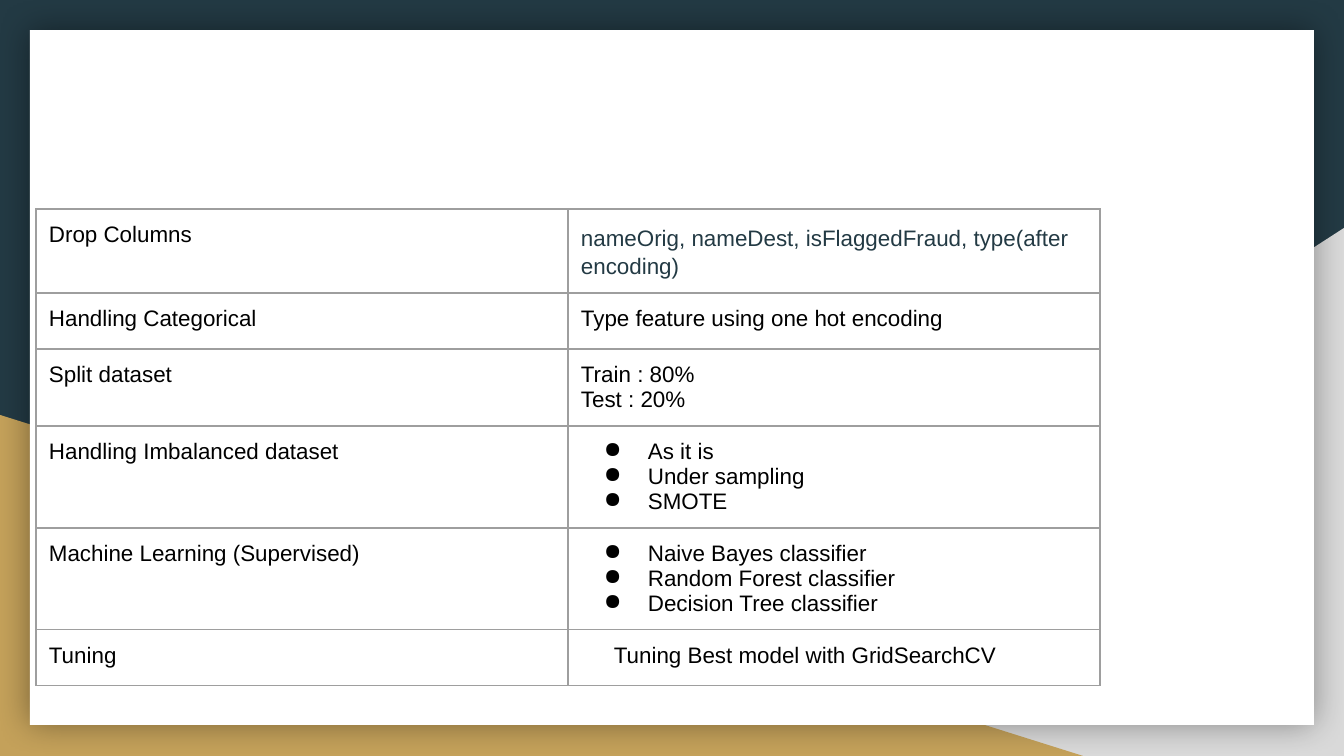
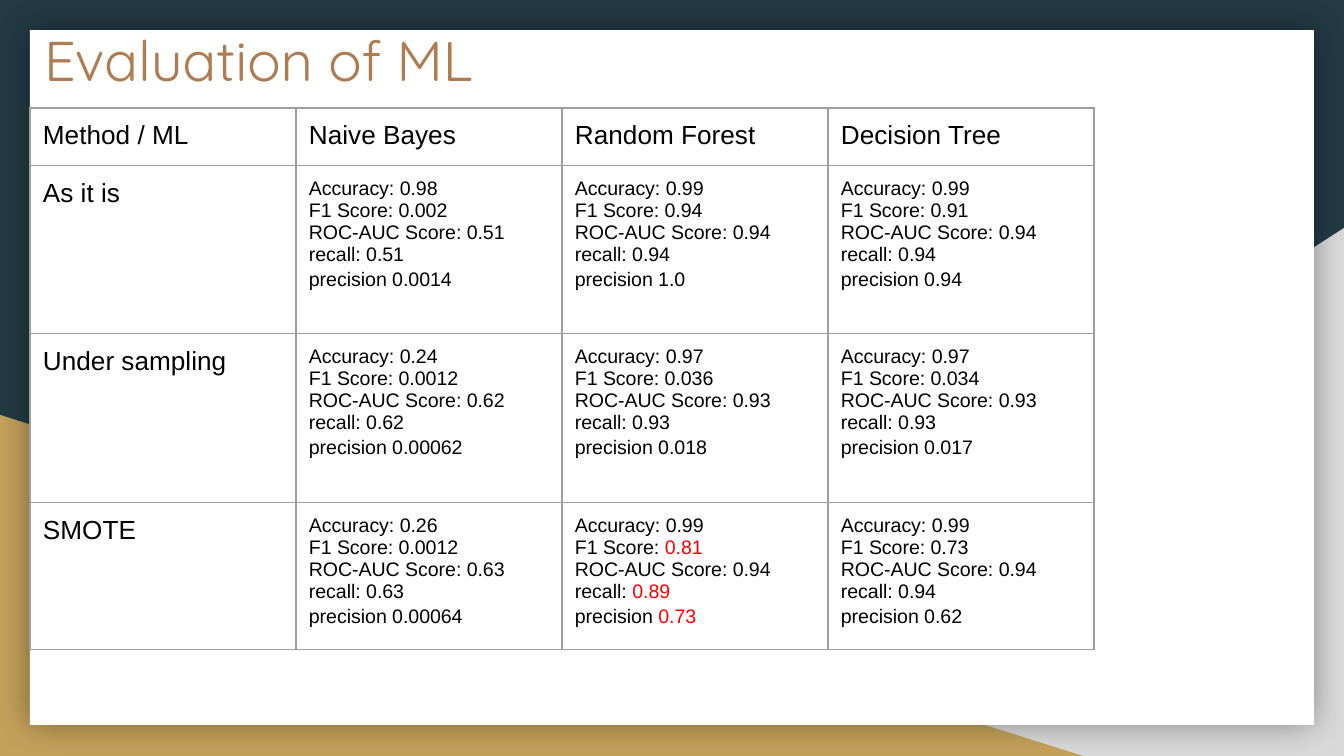
from lxml.etree import SubElement
from pptx import Presentation
from pptx.dml.color import RGBColor
from pptx.enum.shapes import MSO_SHAPE as Preset
from pptx.oxml.ns import qn
from pptx.util import Emu, Pt

NAVY, GREY, GOLD, BROWN = "233A44", "D9D9D9", "C4A15A", "AF7B51"
WHITE, BLACK, RED, RULE = "FFFFFF", "000000", "FF0000", "9E9E9E"
color = RGBColor.from_string


def px(count):
    return Emu(round(count * 914400 / 134.4))


def add_grid(page, left, top, column_width, heights, rows):
    columns = len(rows[0])
    frame = page.shapes.add_table(len(rows), columns, px(left), px(top),
                                  px(column_width * columns), px(sum(heights)))
    table = frame.table
    table.first_row = table.horz_banding = False
    for column in table.columns:
        column.width = px(column_width)
    for row, height, entries in zip(table.rows, heights, rows):
        row.height = px(height)
        for cell, (size, lines) in zip(row.cells, entries):
            cell.margin_left = cell.margin_right = px(13)
            cell.margin_top = cell.margin_bottom = px(13)
            for side in ("a:lnL", "a:lnR", "a:lnT", "a:lnB"):
                border = SubElement(cell._tc.get_or_add_tcPr(), qn(side), w=str(Pt(0.75)))
                SubElement(SubElement(border, qn("a:solidFill")), qn("a:srgbClr"), val=RULE)
            cell.fill.background()
            cell.text_frame.text = "\n".join(lines)
            for para in cell.text_frame.paragraphs:
                para.font.size = Pt(size)
                para.font.name = "Arial"
                para.font.color.rgb = color(BLACK)
    return table


deck = Presentation()
deck.slide_width, deck.slide_height = px(1344), px(756)
backdrop = [
    (Preset.RIGHT_TRIANGLE, GREY, (527, 228, 817, 528)),
    (Preset.RIGHT_TRIANGLE, GOLD, (0, 415, 1083, 341)),
    (Preset.RECTANGLE, WHITE, (30, 30, 1284, 695)),
]
pages = [deck.slides.add_slide(deck.slide_layouts[6]) for _ in range(2)]
for page in pages:
    page.background.fill.solid()
    page.background.fill.fore_color.rgb = color(NAVY)
    for preset, fill, place in backdrop:
        shape = page.shapes.add_shape(preset, *map(px, place))
        shape.shadow.inherit = False
        shape.fill.solid()
        shape.fill.fore_color.rgb = color(fill)
        shape.line.fill.background()
        properties = shape._element.spPr
        if fill == GREY:
            properties.find(qn("a:xfrm")).set("flipH", "1")
        if fill == WHITE:
            shadow = SubElement(properties.find(qn("a:effectLst")), qn("a:outerShdw"),
                                blurRad=str(Pt(18)), dist="0", algn="ctr", rotWithShape="0")
            tint = SubElement(shadow, qn("a:srgbClr"), val=BLACK)
            SubElement(tint, qn("a:alpha"), val="40000")

steps_page, scores_page = pages

steps = [
    ("Drop Columns", ["nameOrig, nameDest, isFlaggedFraud, type(after encoding)"]),
    ("Handling Categorical", ["Type feature using one hot encoding"]),
    ("Split dataset", ["Train : 80%", "Test : 20%"]),
    ("Handling Imbalanced dataset", ["As it is", "Under sampling", "SMOTE"]),
    ("Machine Learning (Supervised)",
     ["Naive Bayes classifier", "Random Forest classifier", "Decision Tree classifier"]),
    ("Tuning", ["Tuning Best model with GridSearchCV"]),
]
rows = [[(12, [step]), (12, details)] for step, details in steps]
table = add_grid(steps_page, 36, 209, 532, [84, 56, 77, 102, 102, 56], rows)

dropped = table.cell(0, 1).text_frame.paragraphs[0]
dropped.line_spacing = 1.15
dropped.space_after = Pt(12)
dropped.font.color.rgb = color(NAVY)

for row, hanging in ((3, 44), (4, 44), (5, 34)):
    for para in table.cell(row, 1).text_frame.paragraphs:
        layout = para._p.get_or_add_pPr()
        layout.set("marL", str(px(67)))
        layout.set("indent", str(-px(hanging)))
        if row < 5:
            bullet_color = layout.makeelement(qn("a:buClr"))
            SubElement(bullet_color, qn("a:srgbClr"), val=BLACK)
            bullet = layout.makeelement(qn("a:buChar"), char="●")
            layout.insert(0, bullet_color)
            layout.insert(1, bullet)

box = scores_page.shapes.add_textbox(px(31), px(13), px(1103), px(140))
frame = box.text_frame
frame.word_wrap = True
frame.margin_left = frame.margin_right = frame.margin_top = frame.margin_bottom = px(13)
title = frame.paragraphs[0]
title.text = "Evaluation of ML"
title.font.size = Pt(30)
title.font.name = "Quicksand"
title.font.color.rgb = color(BROWN)

metrics = ["Accuracy: ", "F1 Score: ", "ROC-AUC Score: ", "recall: ", "precision "]
scores = {
    "As it is": ["0.98 0.002 0.51 0.51 0.0014", "0.99 0.94 0.94 0.94 1.0",
                 "0.99 0.91 0.94 0.94 0.94"],
    "Under sampling": ["0.24 0.0012 0.62 0.62 0.00062", "0.97 0.036 0.93 0.93 0.018",
                       "0.97 0.034 0.93 0.93 0.017"],
    "SMOTE": ["0.26 0.0012 0.63 0.63 0.00064", "0.99 0.94 0.94", "0.99 0.73 0.94 0.94 0.62"],
}
best = {1: "0.81", 3: "0.89", 4: "0.73"}
scores["SMOTE"][1] = "0.99 {} 0.94 {} {}".format(*best.values())
heading = ["Method / ML", "Naive Bayes", "Random Forest", "Decision Tree"]
rows = [[(14, [name]) for name in heading]]
for method, results in scores.items():
    blocks = [[metric + value for metric, value in zip(metrics, result.split())]
              for result in results]
    rows.append([(14, [method])] + [(10.5, block) for block in blocks])
table = add_grid(scores_page, 30, 108, 266, [56, 168, 169, 138], rows)

for row in range(1, 4):
    for column in range(1, 4):
        table.cell(row, column).text_frame.paragraphs[-1].line_spacing = 1.15

for index, value in best.items():
    para = table.cell(3, 2).text_frame.paragraphs[index]
    para.runs[0].text = metrics[index]
    span = para.add_run()
    span.text = value
    span.font.color.rgb = color(RED)

deck.save("out.pptx")
